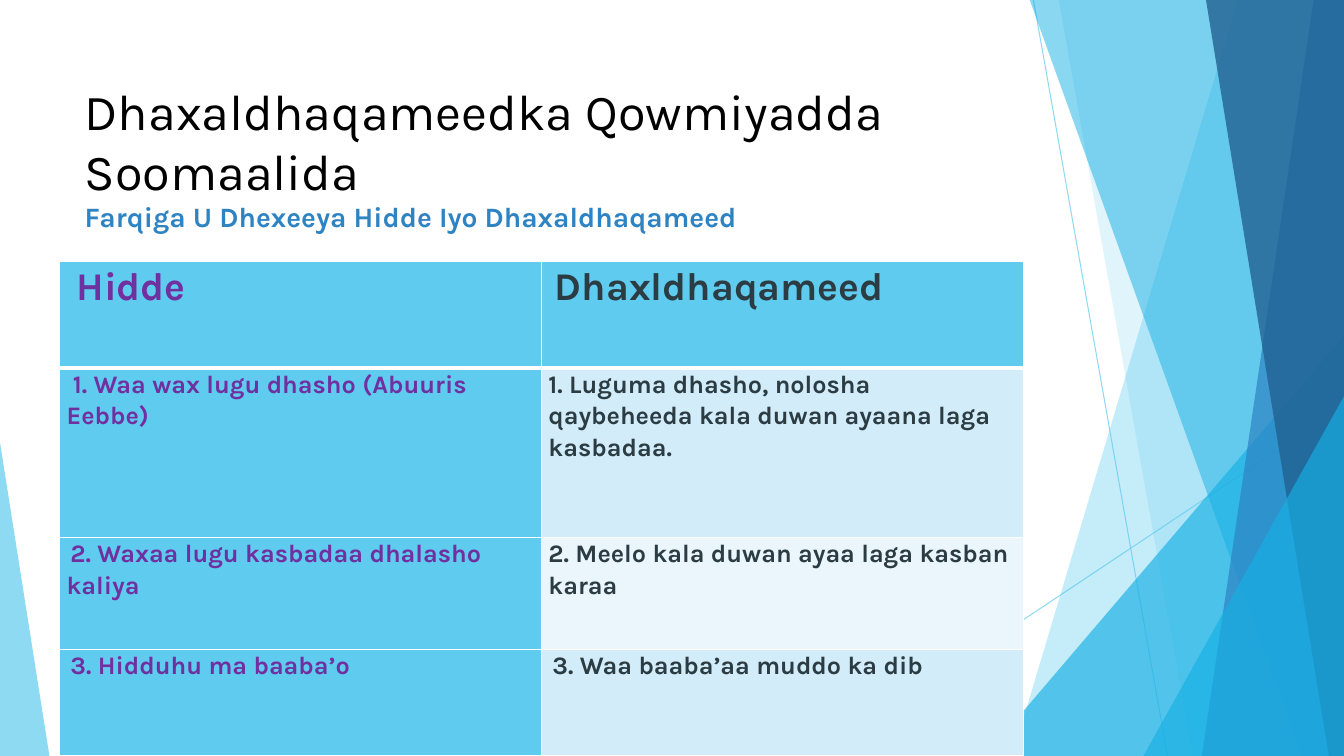
"""Build the slide comparing Hidde and Dhaxaldhaqameed."""
from lxml import etree
from pptx import Presentation
from pptx import util as u
from pptx.dml import color
from pptx.enum import shapes, text
from pptx.oxml import ns

INCH = u.Inches
WIDE, HIGH = 13.33, 7.5
SKY, CYAN, BLUE, NAVY = "5FCBEF", "17B0E4", "2E83C3", "226292"
PLUM, SLATE = "7030A0", "2C3C43"


def paint(part, tone, alpha=100):
    part.solid()
    part.fore_color.rgb = color.RGBColor.from_string(tone)
    if alpha < 100:
        for clr in part._xPr.iter(ns.qn("a:srgbClr")):
            etree.SubElement(clr, ns.qn("a:alpha")).set("val", str(alpha * 1000))


def write(para, words, size, tone, bold=True):
    run = para.add_run()
    run.text = words
    run.font.name = "Karla"
    run.font.size = u.Pt(size)
    run.font.bold = bold
    paint(run.font.fill, tone)


deck = Presentation()
deck.slide_width, deck.slide_height = INCH(WIDE), INCH(HIGH)
slide = deck.slides.add_slide(deck.slide_layouts[1])
items = slide.shapes
title, body = slide.placeholders

for x1, y1, x2, y2 in [(10.25, 0, 11.58, HIGH), (WIDE, 4.03, 8.12, HIGH)]:
    line = items.add_connector(shapes.MSO_CONNECTOR.STRAIGHT,
                               INCH(x1), INCH(y1), INCH(x2), INCH(y2))
    line.line.width = u.Pt(0.75)
    paint(line.line.fill, SKY, 70)
    etree.SubElement(line.element.spPr, ns.qn("a:effectLst"))

facets = [
    ("band", (12.28, 10.04), SKY, 36),
    ("band", (10.5, 11.83), SKY, 20),
    ("peak", (9.77, 3.33, 3.56, 1), CYAN, 66),
    ("band", (10.21, 12.91), CYAN, 50),
    ("band", (13.03, 11.92), BLUE, 70),
    ("band", (11.96, 13.18), NAVY, 80),
    ("peak", (11.34, 3.93, 1.99, 1), CYAN, 66),
    ("peak", (0, 4.39, 0.49, 0), SKY, 70),
]
for kind, dims, tone, alpha in facets:
    if kind == "band":
        top, base = dims
        pen = items.build_freeform(INCH(top), INCH(-0.01), 1)
        ends = [(WIDE, -0.01), (WIDE, HIGH), (base, HIGH)]
        pen.add_line_segments([(INCH(x), INCH(y)) for x, y in ends])
        facet = pen.convert_to_shape()
    else:
        left, top, width, tip = dims
        facet = items.add_shape(shapes.MSO_SHAPE.ISOSCELES_TRIANGLE, INCH(left),
                                INCH(top), INCH(width), INCH(HIGH - top))
        facet.adjustments[0] = tip
    facet.shadow.inherit = False
    facet.line.fill.background()
    paint(facet.fill, tone, alpha)

heads = [
    (title, (0.74, 0.67, 9.4, 1.44), "Dhaxaldhaqameedka Qowmiyadda Soomaalida",
     36, "000000", False, text.MSO_ANCHOR.MIDDLE),
    (body, (0.74, 1.93, 9.91, 5.33), "Farqiga U Dhexeeya Hidde Iyo Dhaxaldhaqameed",
     20, BLUE, True, text.MSO_ANCHOR.TOP),
]
for holder, box, words, size, tone, bold, anchor in heads:
    holder.left, holder.top, holder.width, holder.height = map(INCH, box)
    frame = holder.text_frame
    frame.word_wrap = True
    frame.auto_size = text.MSO_AUTO_SIZE.NONE
    frame.vertical_anchor = anchor
    para = frame.paragraphs[0]
    para.alignment = text.PP_ALIGN.LEFT
    write(para, words, size, tone, bold)
    holder.element.getparent().append(holder.element)
para.space_before = u.Pt(10)
props = para._p.get_or_add_pPr()
props.set("marL", "0")
props.set("indent", "0")
etree.SubElement(props, ns.qn("a:buNone"))

rows = [
    (1.06, SKY, [[(" Hidde", 28)]],
     [[(" ", 18), ("Dhaxldhaqameed", 28)]]),
    (1.68, "D2ECF9", [[(" 1. Waa wax lugu dhasho (Abuuris Eebbe)", 18)]],
     [[("1. Luguma dhasho, nolosha qaybeheeda kala duwan ayaana laga kasbadaa.", 18)]]),
    (1.11, "EAF6FC", [[(" ", 11), ("2. Waxaa lugu kasbadaa dhalasho kaliya", 18)]],
     [[("2. Meelo kala duwan ayaa laga kasban", 18)], [("karaa", 18)]]),
    (1.06, "D2ECF9", [[(" ", 11), ("3. Hidduhu ma baaba’o", 18)]],
     [[(" ", 11), ("3. Waa baaba’aa muddo ka dib", 18)]]),
]
grid = items.add_table(len(rows), 2, INCH(0.59), INCH(2.59),
                       INCH(9.55), INCH(4.91)).table
grid.horz_banding = False
for col in grid.columns:
    col.width = INCH(4.78)
for r, (height, tint, *cells) in enumerate(rows):
    grid.rows[r].height = INCH(height)
    for c, paras in enumerate(cells):
        cell = grid.cell(r, c)
        cell.margin_left = cell.margin_right = INCH(0.07)
        cell.margin_top = cell.margin_bottom = 0
        cell.vertical_anchor = text.MSO_ANCHOR.TOP
        for side in "LRTB":
            thick = 3 if (r, side) in [(0, "B"), (1, "T")] else 1
            edge = etree.SubElement(cell._tc.get_or_add_tcPr(), ns.qn("a:ln" + side))
            edge.set("w", str(u.Pt(thick)))
            ink = etree.SubElement(edge, ns.qn("a:solidFill"))
            etree.SubElement(ink, ns.qn("a:srgbClr")).set("val", "FFFFFF")
        paint(cell.fill, tint if c else SKY)
        for n, runs in enumerate(paras):
            frame = cell.text_frame
            para = frame.add_paragraph() if n else frame.paragraphs[0]
            para.line_spacing = 1.07
            for words, size in runs:
                write(para, words, size, SLATE if c else PLUM)

deck.save("out.pptx")
